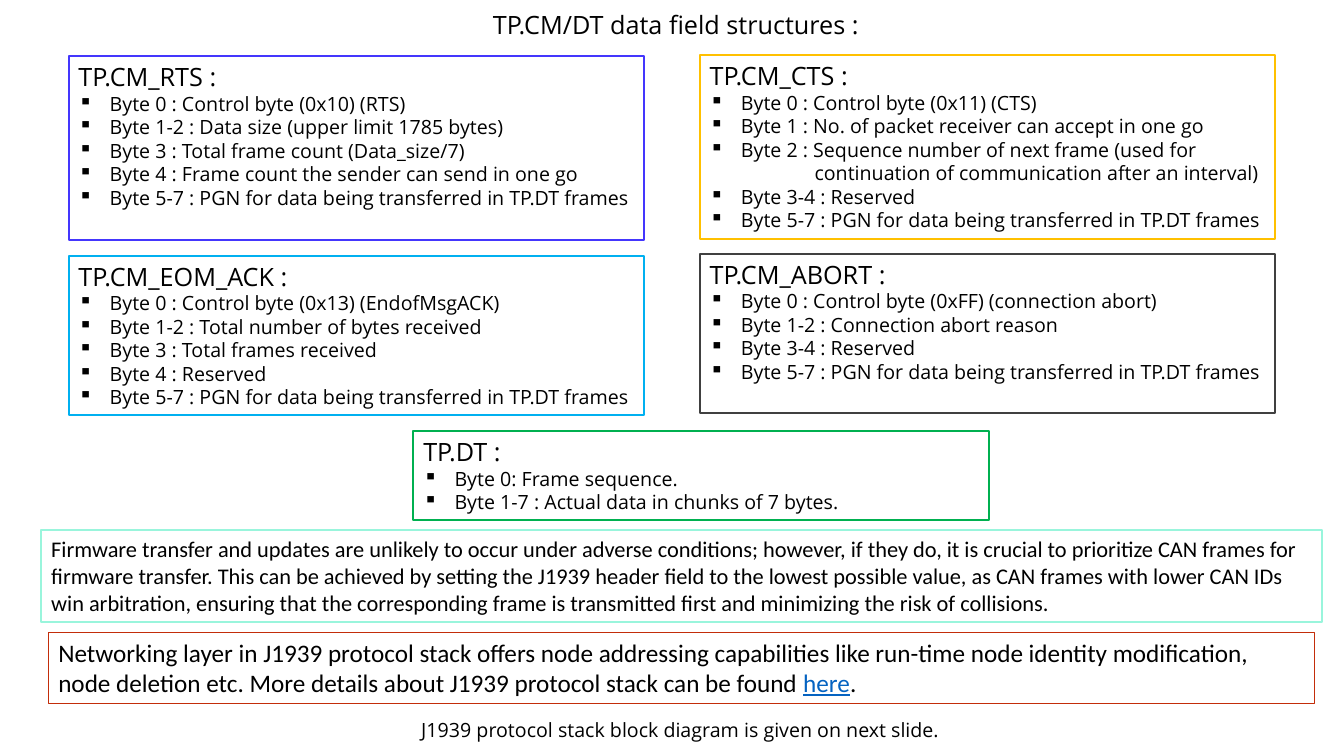
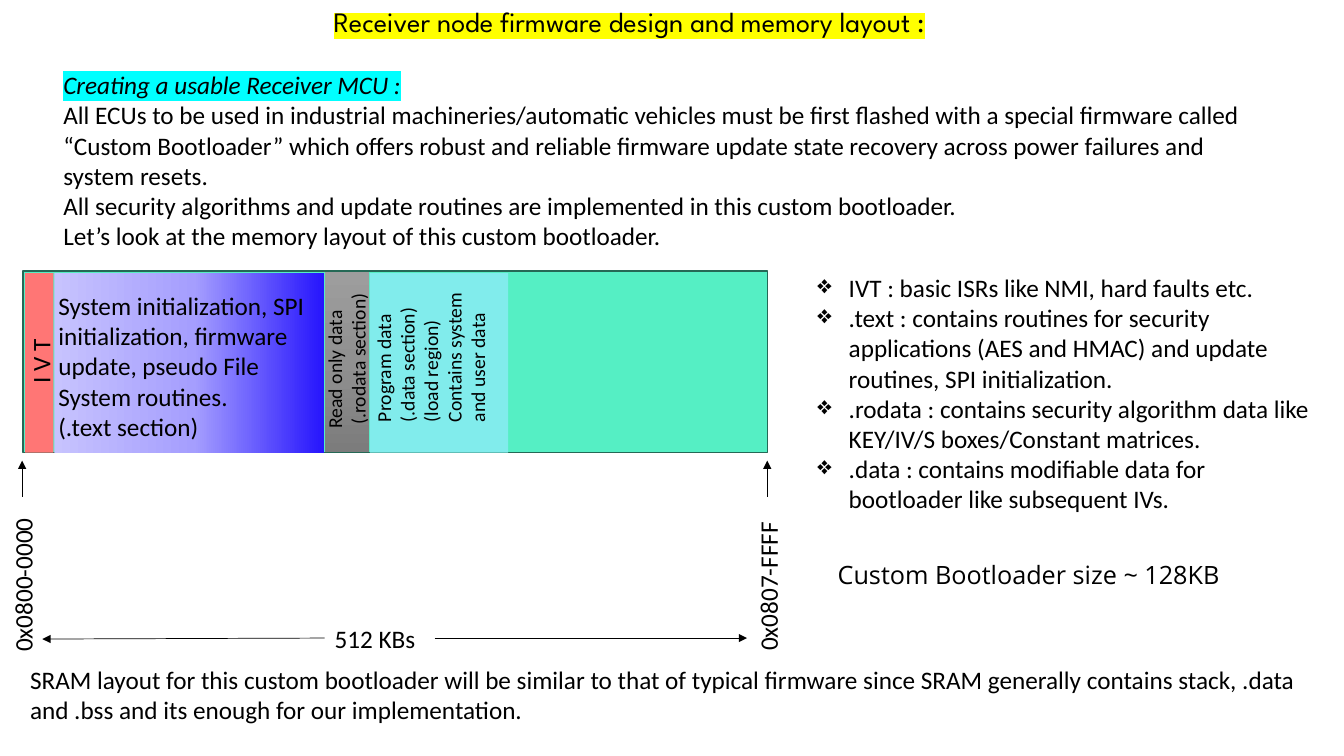
from typing import NamedTuple

from lxml.etree import SubElement
from pptx import Presentation
from pptx.dml.color import RGBColor
from pptx.enum.shapes import MSO_CONNECTOR, MSO_SHAPE
from pptx.enum.text import MSO_ANCHOR
from pptx.oxml.ns import qn
from pptx.util import Pt

PX = 9144  # 100 px to the inch


class Role(NamedTuple):
    font: str
    size: int
    bullet: str = ""
    left: int = 0
    mark: str = ""
    slant: bool = False


class Theme:
    ink, link = "000000", "0563C1"
    blue, amber, sky, slate, green = "4436FD", "FFC000", "00B0F0", "404040", "00B050"
    rust, mint = "C32D0A", "99F5DC"
    flash, edge, red, aqua = "55EFC4", "256956", "FF7675", "81ECEC"
    violet = ((0, "C7C3FE"), (52, "A59EFE"), (100, "2615FD"))
    grey = ((0, "9D9D9D"), (50, "909090"), (100, "7C7C7C"))
    roles = {
        "head": Role("Open Sans", 18),
        "note": Role("Open Sans", 14),
        "byte": Role("Open Sans", 14, "▪", 31),
        "more": Role("Open Sans", 14, left=104),
        "title": Role("League Spartan", 20, mark="FFFF00"),
        "topic": Role("Calibri", 18, mark="00FFFF", slant=True),
        "body": Role("Calibri", 18),
        "list": Role("Calibri", 18, "❖", 31),
        "dense": Role("Calibri", 16),
        "small": Role("Calibri", 14),
        "inset": Role("Calibri", 14, left=4),
    }


# Content: a line is text in the box's own role, or (role, text); |x| is a link
PGN = "Byte 5-7 : PGN for data being transferred in TP.DT frames"
CARDS = [  # x, y, height, colour, head, lines
    (68, 56, 182, Theme.blue, "TP.CM_RTS :", [
        "Byte 0 : Control byte (0x10) (RTS)",
        "Byte 1-2 : Data size (upper limit 1785 bytes)",
        "Byte 3 : Total frame count (Data_size/7)",
        "Byte 4 : Frame count the sender can send in one go",
        PGN]),
    (694, 55, 182, Theme.amber, "TP.CM_CTS :", [
        "Byte 0 : Control byte (0x11) (CTS)",
        "Byte 1 : No. of packet receiver can accept in one go",
        "Byte 2 : Sequence number of next frame (used for",
        ("more", "continuation of communication after an interval)"),
        "Byte 3-4 : Reserved",
        PGN]),
    (68, 254, 158, Theme.sky, "TP.CM_EOM_ACK :", [
        "Byte 0 : Control byte (0x13) (EndofMsgACK)",
        "Byte 1-2 : Total number of bytes received",
        "Byte 3 : Total frames received",
        "Byte 4 : Reserved",
        PGN]),
    (694, 252, 158, Theme.slate, "TP.CM_ABORT :", [
        "Byte 0 : Control byte (0xFF) (connection abort)",
        "Byte 1-2 : Connection abort reason",
        "Byte 3-4 : Reserved",
        PGN]),
    (410, 428, 88, Theme.green, "TP.DT :", [
        "Byte 0: Frame sequence.",
        "Byte 1-7 : Actual data in chunks of 7 bytes."]),
]
CARD_W = 571

PANELS = [  # box, colour, line width, role, text
    ((48, 627, 1256, 71), Theme.rust, 0.75, "body",
     "Networking layer in J1939 protocol stack offers node addressing capabilities like "
     "run-time node identity modification, node deletion etc. More details about J1939 "
     "protocol stack can be found |here|."),
    ((41, 526, 1270, 91), Theme.mint, 1.5, "dense",
     "Firmware transfer and updates are unlikely to occur under adverse conditions; however, "
     "if they do, it is crucial to prioritize CAN frames for firmware transfer. This can be "
     "achieved by setting the J1939 header field to the lowest possible value, as CAN frames "
     "with lower CAN IDs win arbitration, ensuring that the corresponding frame is "
     "transmitted first and minimizing the risk of collisions."),
]

FIELD_TEXT = [  # box, turn, role, lines
    ((479, 4, 435, 40), 0, "head", ["TP.CM/DT data field structures :"]),
    ((408, 707, 750, 34), 0, "note",
     ["J1939 protocol stack block diagram is given on next slide."]),
]

BANDS = [  # box, fill (or stops), gradient angle
    ((25, 271, 28, 178), Theme.red, 0),
    ((54, 271, 267, 178), Theme.violet, 0),
    ((322, 270, 44, 178), Theme.grey, 90),
    ((367, 271, 137, 178), Theme.aqua, 0),
]

ARROWS = [  # from, to
    ((22, 493), (22, 457)),
    ((761, 493), (761, 457)),
    ((431, 633), (741, 633)),
    ((322, 633), (42, 634)),
]

MEMORY_TEXT = [
    ((321, 0, 772, 44), 0, "title", ["Receiver node firmware design and memory layout :"]),
    ((53, 64, 1228, 192), 0, "body", [
        ("topic", "Creating a usable Receiver MCU :"),
        "All ECUs to be used in industrial machineries/automatic vehicles must be first "
        "flashed with a special firmware called “Custom Bootloader” which offers robust and "
        "reliable firmware update state recovery across power failures and system resets.",
        "All security algorithms and update routines are implemented in this custom bootloader.",
        "Let’s look at the memory layout of this custom bootloader."]),
    ((48, 283, 282, 162), 0, "body", [
        "System initialization, SPI initialization, firmware update, pseudo File System routines.",
        "(.text section)"]),
    ((257, 320, 173, 57), 270, "small", ["Read only data", ("inset", "(.rodata section)")]),
    ((365, 279, 148, 151), 270, "small", [
        "Program data", "(.data section)", "(load region)", "Contains system and user data"]),
    ((-1, 329, 82, 40), 270, "body", ["I V T"]),
    ((-63, 551, 171, 40), 270, "body", ["0x0800-0000"]),
    ((676, 550, 171, 40), 270, "body", ["0x0807-FFFF"]),
    ((322, 613, 130, 40), 0, "body", ["512 KBs"]),
    ((801, 265, 514, 252), 0, "list", [
        "IVT : basic ISRs like NMI, hard faults etc.",
        ".text : contains routines for security applications (AES and HMAC) and update "
        "routines, SPI initialization.",
        ".rodata : contains security algorithm data like KEY/IV/S boxes/Constant matrices.",
        ".data : contains modifiable data for bootloader like subsequent IVs."]),
    ((20, 654, 1293, 71), 0, "body", [
        "SRAM layout for this custom bootloader will be similar to that of typical firmware "
        "since SRAM generally contains stack, .data and .bss and its enough for our "
        "implementation."]),
    ((821, 550, 434, 40), 0, "head", ["Custom Bootloader size ~ 128KB"]),
]


def emu(nums):
    return [n * PX for n in nums]


def rgb(code):
    return RGBColor.from_string(code)


# Text
def style(run, role, link):
    font = run.font
    font.size = Pt(role.size)
    font.italic = role.slant
    font.underline = link
    font.color.rgb = rgb(Theme.link if link else Theme.ink)
    font.name = role.font
    if role.mark:
        props = run._r.get_or_add_rPr()
        mark = SubElement(props, qn("a:highlight"))
        SubElement(mark, qn("a:srgbClr"), val=role.mark)
        props.find(qn("a:latin")).addprevious(mark)


def write(shape, base, lines):
    frame = shape.text_frame
    frame.word_wrap = True
    frame.vertical_anchor = MSO_ANCHOR.TOP
    for i, line in enumerate(lines):
        name, text = (base, line) if isinstance(line, str) else line
        role = Theme.roles[name]
        para = frame.add_paragraph() if i else frame.paragraphs[0]
        props = para._p.get_or_add_pPr()
        props.set("algn", "l")
        props.set("marL", str(role.left * PX))
        if role.bullet:
            props.set("indent", str(-role.left * PX))
            SubElement(props, qn("a:buChar"), char=role.bullet)
        for j, part in enumerate(text.split("|")):
            run = para.add_run()
            run.text = part
            style(run, role, j % 2 == 1)


def label(slide, box, turn, role, lines):
    shape = slide.shapes.add_textbox(*emu(box))
    shape.rotation = turn
    write(shape, role, lines)


# Shapes
def rect(slide, box, fill=None, edge=None, width=1.5, angle=0):
    shape = slide.shapes.add_shape(MSO_SHAPE.RECTANGLE, *emu(box))
    shape.shadow.inherit = False
    if fill is None:
        shape.fill.background()
    elif isinstance(fill, str):
        shape.fill.solid()
        shape.fill.fore_color.rgb = rgb(fill)
    else:
        blend(shape, fill, angle)
    if edge:
        shape.line.color.rgb = rgb(edge)
        shape.line.width = Pt(width)
    else:
        shape.line.fill.background()
    return shape


def blend(shape, stops, angle):
    shape.fill.gradient()
    shape.fill.gradient_angle = -angle % 360
    group = shape._element.spPr.find(qn("a:gradFill")).find(qn("a:gsLst"))
    for old in list(group):
        group.remove(old)
    for spot, code in stops:
        stop = SubElement(group, qn("a:gs"), pos=str(spot * 1000))
        SubElement(stop, qn("a:srgbClr"), val=code)


def arrow(slide, start, end):
    line = slide.shapes.add_connector(MSO_CONNECTOR.STRAIGHT, *emu(start + end))
    line.line.color.rgb = rgb(Theme.ink)
    line.line.width = Pt(0.5)
    SubElement(line.line._get_or_add_ln(), qn("a:tailEnd"), type="triangle")
    SubElement(line._element.spPr, qn("a:effectLst"))


# Slides
def fields(slide):
    for x, y, high, tint, head, lines in CARDS:
        card = rect(slide, (x, y, CARD_W, high), edge=tint)
        write(card, "byte", [("head", head), *lines])
    for box, tint, width, role, text in PANELS:
        write(rect(slide, box, edge=tint, width=width), role, [text])
    for item in FIELD_TEXT:
        label(slide, *item)


def memory(slide):
    rect(slide, (23, 269, 738, 180), Theme.flash, Theme.edge, 1)
    for box, fill, angle in BANDS:
        rect(slide, box, fill, angle=angle)
    for start, end in ARROWS:
        arrow(slide, start, end)
    for item in MEMORY_TEXT:
        label(slide, *item)


def main():
    deck = Presentation()
    deck.slide_width, deck.slide_height = emu((1333, 750))
    for build in (fields, memory):
        build(deck.slides.add_slide(deck.slide_layouts[6]))
    deck.save("out.pptx")


if __name__ == "__main__":
    main()
